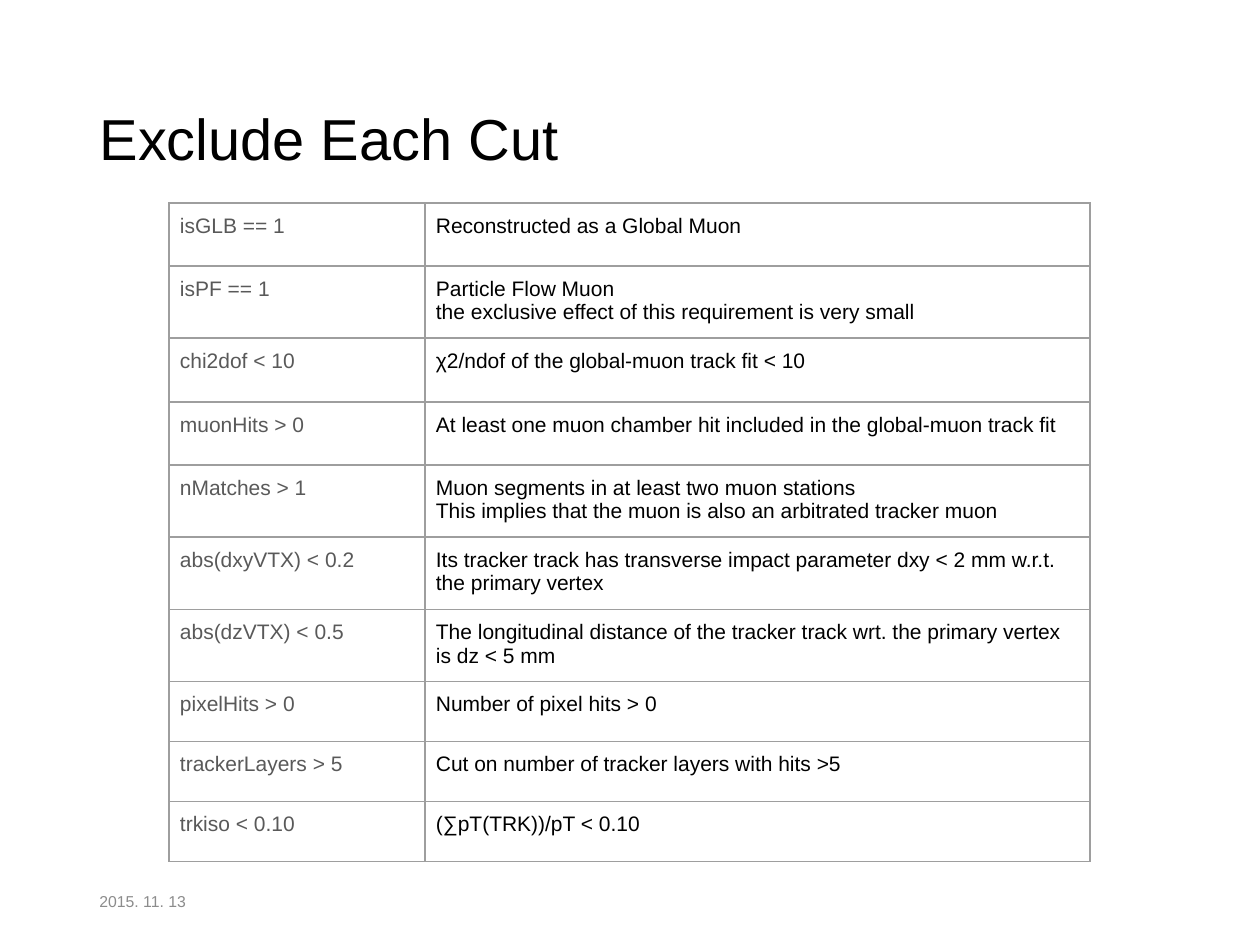
from lxml.etree import SubElement
from pptx import Presentation
from pptx.dml.color import RGBColor
from pptx.enum.text import MSO_ANCHOR as Anchor, PP_ALIGN as Align
from pptx.oxml.ns import qn
from pptx.util import Pt

EMU_PER_PX = 914400 / 126
GRAY, BLACK, BORDER, DATE_GRAY = "595959", "000000", "9E9E9E", "8C8C8C"


def px(length):
    return round(length * EMU_PER_PX)


def color(hex_text):
    return RGBColor.from_string(hex_text)


class SlideBuilder:
    """Holds the style and the current slide."""
    font = "Arial"
    cell_margin = 11

    def __init__(self, slide):
        self.slide = slide

    def format_text(self, frame, size, hex_text):
        for para in frame.paragraphs:
            para.alignment = Align.LEFT
            for span in para.runs:
                span.font.name = self.font
                span.font.size = Pt(size)
                span.font.color.rgb = color(hex_text)

    def title(self, text, left, top, width, height):
        box = self.slide.shapes.title
        box.left, box.top = px(left), px(top)
        box.width, box.height = px(width), px(height)
        frame = box.text_frame
        frame.text = text
        frame.vertical_anchor = Anchor.MIDDLE
        frame.paragraphs[0].line_spacing = 0.9
        self.format_text(frame, 33, BLACK)

    def label(self, text, left, top, width, height):
        box = self.slide.shapes.add_textbox(px(left), px(top), px(width), px(height))
        frame = box.text_frame
        frame.word_wrap = True
        frame.text = text
        frame.vertical_anchor = Anchor.MIDDLE
        self.format_text(frame, 9, DATE_GRAY)

    def border(self, cell):
        properties = cell._tc.get_or_add_tcPr()
        for side in ("a:lnL", "a:lnR", "a:lnT", "a:lnB"):
            line = SubElement(properties, qn(side), w=str(Pt(0.75)))
            fill = SubElement(line, qn("a:solidFill"))
            SubElement(fill, qn("a:srgbClr"), val=BORDER)

    def cell(self, cell, text, hex_text):
        cell.text = text
        cell.margin_left = cell.margin_right = px(self.cell_margin)
        cell.margin_top = cell.margin_bottom = px(self.cell_margin)
        self.border(cell)
        cell.fill.background()
        self.format_text(cell.text_frame, 12, hex_text)

    def table(self, rows, left, top, widths):
        height = sum(row[0] for row in rows)
        table = self.slide.shapes.add_table(
            len(rows), len(widths), px(left), px(top), px(sum(widths)), px(height)).table
        table.first_row = table.horz_banding = False
        for column, width in zip(table.columns, widths):
            column.width = px(width)
        for table_row, (row_height, cut, meaning) in zip(table.rows, rows):
            table_row.height = px(row_height)
            self.cell(table_row.cells[0], cut, GRAY)
            self.cell(table_row.cells[1], meaning, BLACK)


# Row height, cut and its meaning
CUTS = [
    (63, "isGLB == 1", "Reconstructed as a Global Muon"),
    (72, "isPF == 1",
     "Particle Flow Muon\nthe exclusive effect of this requirement is very small"),
    (64, "chi2dof < 10", "χ2/ndof of the global-muon track fit < 10"),
    (63, "muonHits > 0",
     "At least one muon chamber hit included in the global-muon track fit"),
    (72, "nMatches > 1",
     "Muon segments in at least two muon stations\n"
     "This implies that the muon is also an arbitrated tracker muon"),
    (73, "abs(dxyVTX) < 0.2",
     "Its tracker track has transverse impact parameter dxy < 2 mm w.r.t. "
     "the primary vertex"),
    (72, "abs(dzVTX) < 0.5",
     "The longitudinal distance of the tracker track wrt. the primary vertex "
     "is dz < 5 mm"),
    (60, "pixelHits > 0", "Number of pixel hits > 0"),
    (60, "trackerLayers > 5", "Cut on number of tracker layers with hits >5"),
    (60, "trkiso < 0.10", "(∑pT(TRK))/pT < 0.10"),
]


def main():
    deck = Presentation()
    deck.slide_width, deck.slide_height = px(1260), px(945)
    page = SlideBuilder(deck.slides.add_slide(deck.slide_layouts[5]))

    # Title
    page.title("Exclude Each Cut", 87, 50, 1086, 183)

    # Table of cuts
    page.table(CUTS, 169, 203, [256, 665])

    # Date
    page.label("2015. 11. 13", 87, 876, 284, 50)

    deck.save("out.pptx")


if __name__ == "__main__":
    main()
